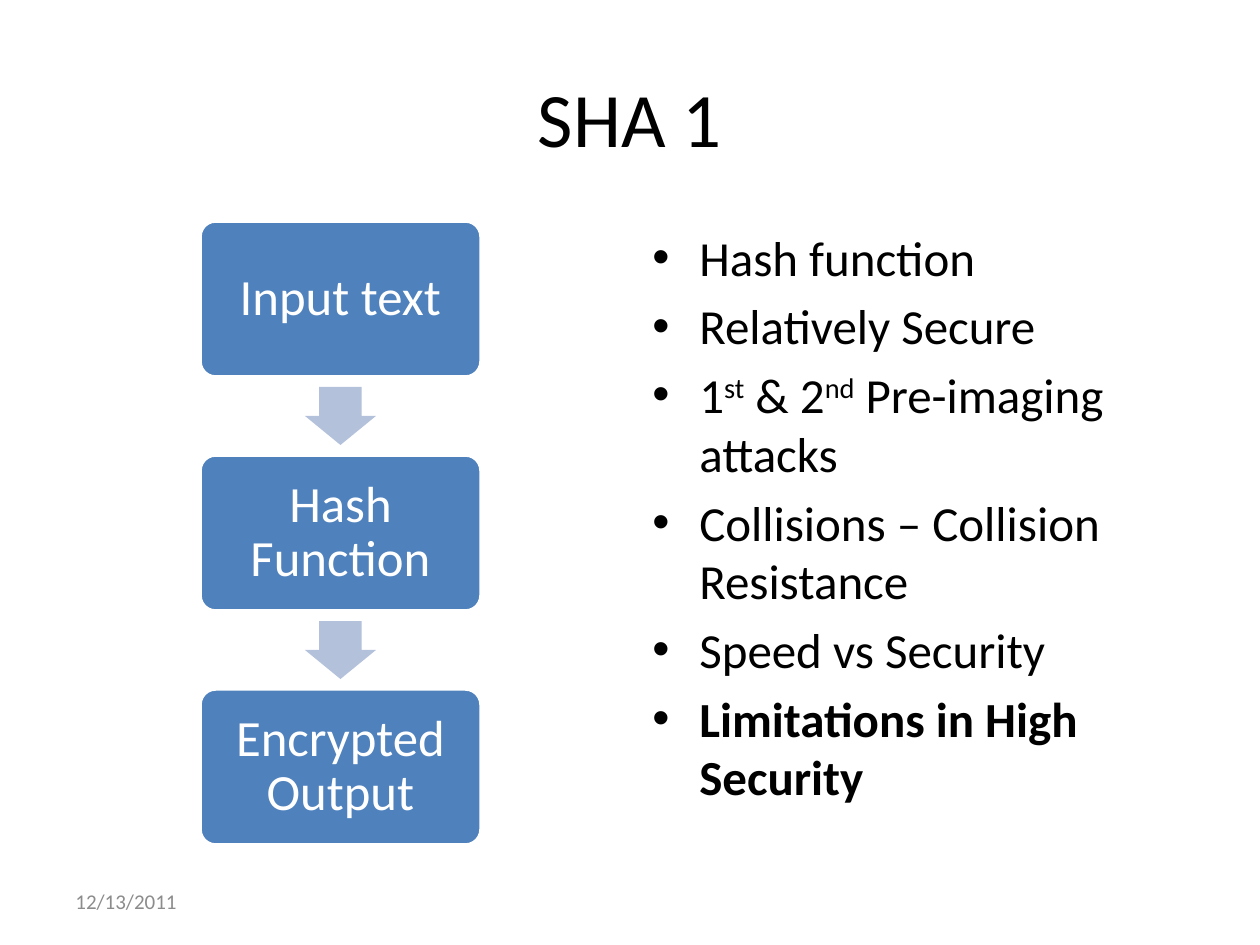
from pptx import Presentation, util as u
from pptx.dml.color import RGBColor
from pptx.enum import shapes, text
from pptx.oxml import parse_xml
from pptx.oxml.ns import nsdecls

# Content
TITLE = "SHA 1"
DATE = "12/13/2011"
STEPS = ["Input text", "Hash Function", "Encrypted Output"]
# Each point is a list of (text, style) runs
POINTS = [
    [("Hash function", "")],
    [("Relatively Secure", "")],
    [("1", ""), ("st", "super"), (" & 2", ""), ("nd", "super"),
     (" Pre-imaging attacks", "")],
    [("Collisions – Collision Resistance", "")],
    [("Speed vs Security", "")],
    [("Limitations in High Security", "bold")],
]
HEX = {"ink": "000000", "box": "4F81BD", "arrow": "B3C1DB",
       "paper": "FFFFFF", "date": "8C8C8C"}
FONT = "Calibri"

# Layout in px, 126 to the inch
LEFT, TOP, WIDE, HIGH, STEP = 200, 221, 281, 156, 234
TIP_W, TIP_H = 71, 58
PAD = 15
INDENT = 47


def px(n):
    return u.Emu(round(n * 914400 / 126))


def rect(*dims):
    return [px(n) for n in dims]


def color(name):
    return RGBColor.from_string(HEX[name])


def style(font, size, name):
    font.name, font.size = FONT, u.Pt(size)
    font.color.rgb = color(name)


def add_shape(kind, dims, fill, adj):
    shape = slide.shapes.add_shape(kind, *rect(*dims))
    shape.shadow.inherit = False
    shape.fill.solid()
    shape.fill.fore_color.rgb = color(fill)
    for i, val in enumerate(adj):
        shape.adjustments[i] = val
    return shape


def add_text(dims):
    frame = slide.shapes.add_textbox(*rect(*dims)).text_frame
    frame.word_wrap = True
    return frame


prs = Presentation()
prs.slide_width, prs.slide_height = rect(1260, 945)
slide = prs.slides.add_slide(prs.slide_layouts[5])

# Title
title = slide.shapes.title
title.left, title.top, title.width, title.height = rect(63, 38, 1134, 157)
title.text_frame.text = TITLE
title.text_frame.vertical_anchor = text.MSO_ANCHOR.MIDDLE
head = title.text_frame.paragraphs[0]
head.alignment = text.PP_ALIGN.CENTER
style(head.runs[0].font, 44, "ink")

# Flow of boxes, with an arrow centred in each gap
for i, label in enumerate(STEPS):
    top = TOP + i * STEP
    box = add_shape(shapes.MSO_SHAPE.ROUNDED_RECTANGLE,
                    (LEFT, top, WIDE, HIGH), "box", [0.1])
    box.line.color.rgb = color("paper")
    box.line.width = u.Pt(2)
    frame = box.text_frame
    frame.word_wrap = True
    frame.vertical_anchor = text.MSO_ANCHOR.MIDDLE
    frame.margin_left = frame.margin_right = px(PAD)
    frame.margin_top = frame.margin_bottom = px(PAD)
    frame.text = label
    para = frame.paragraphs[0]
    para.alignment = text.PP_ALIGN.CENTER
    para.line_spacing = 0.9
    style(para.runs[0].font, 29, "paper")
    if i < len(STEPS) - 1:
        x = LEFT + (WIDE - TIP_W) / 2
        y = top + (HIGH + STEP - TIP_H) / 2
        tip = add_shape(shapes.MSO_SHAPE.DOWN_ARROW,
                        (x, y, TIP_W, TIP_H), "arrow", [0.6, 0.5])
        tip.line.fill.background()

# Bullet list
frame = add_text((640, TOP, 557, 624))
for i, parts in enumerate(POINTS):
    para = frame.paragraphs[0] if i == 0 else frame.add_paragraph()
    if i:
        para.space_before = u.Pt(5.6)
    props = para._p.get_or_add_pPr()
    props.set("marL", str(px(INDENT)))
    props.set("indent", str(-px(INDENT)))
    props.append(parse_xml(f'<a:buFont {nsdecls("a")} typeface="Arial"/>'))
    props.append(parse_xml(f'<a:buChar {nsdecls("a")} char="•"/>'))
    for words, look in parts:
        run = para.add_run()
        run.text = words
        style(run.font, 28, "ink")
        if look == "bold":
            run.font.bold = True
        elif look == "super":
            run._r.get_or_add_rPr().set("baseline", "30000")

# Date
frame = add_text((63, 876, 294, 50))
frame.vertical_anchor = text.MSO_ANCHOR.MIDDLE
frame.text = DATE
style(frame.paragraphs[0].runs[0].font, 12, "date")

prs.save("out.pptx")
